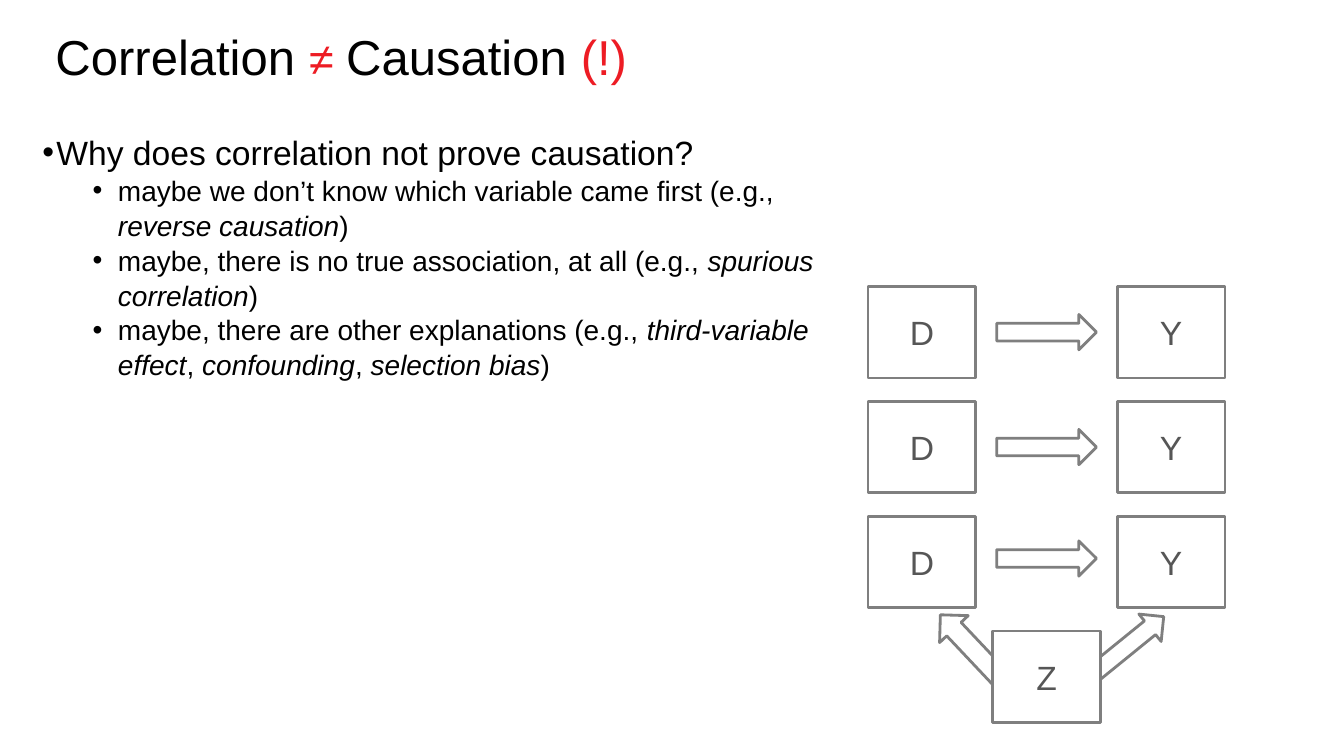
from lxml.etree import SubElement
from pptx import Presentation
from pptx.dml.color import RGBColor
from pptx.enum.shapes import MSO_SHAPE as Shape
from pptx.enum.text import MSO_ANCHOR as Anchor, MSO_AUTO_SIZE as AutoSize, PP_ALIGN as Align
from pptx.oxml.ns import qn
from pptx.util import Inches, Pt

COLORS = {"ink": "000000", "accent": "ED1C24", "outline": "7F7F7F", "label": "565656", "paper": "FFFFFF"}


class CausationSlide:
    """Style and drawing methods for a slide with a grid of variables."""

    font = "Arial"
    insets = (0.13, 0.07, 0.13, 0.07)
    first_center = (9.145, 3.295)
    pitch = (1.235, 1.14)
    box_size = (1.07, 0.91)

    def __init__(self, deck):
        self.slide = deck.slides.add_slide(deck.slide_layouts[5])

    def color(self, name):
        return RGBColor.from_string(COLORS[name])

    def style(self, font, size, color):
        font.name, font.size = self.font, Pt(size)
        font.color.rgb = self.color(color)

    def frame(self, shape, insets, anchor):
        frame = shape.text_frame
        frame.word_wrap, frame.auto_size = True, AutoSize.NONE
        frame.vertical_anchor = anchor
        frame.margin_left, frame.margin_top, frame.margin_right, frame.margin_bottom = map(Inches, insets)
        return frame

    def title(self, parts, area):
        heading = self.slide.shapes.title
        heading.left, heading.top, heading.width, heading.height = map(Inches, area)
        paragraph = self.frame(heading, self.insets, Anchor.MIDDLE).paragraphs[0]
        paragraph.alignment, paragraph.line_spacing = Align.LEFT, 0.9
        for words, size, color in parts:
            run = paragraph.add_run()
            run.text = words
            self.style(run.font, size, color)

    def bullets(self, items, area):
        box = self.slide.shapes.add_textbox(*map(Inches, area))
        frame = self.frame(box, (0, 0, 0, 0), Anchor.TOP)
        for index, (level, parts) in enumerate(items):
            paragraph = frame.add_paragraph() if index else frame.paragraphs[0]
            paragraph.level, paragraph.line_spacing = level, 1.04
            margin, hanging, size = ((0.14, 0.14, 24), (0.75, 0.25, 20))[level]
            properties = paragraph._p.get_or_add_pPr()
            properties.set("marL", str(Inches(margin)))
            properties.set("indent", str(-Inches(hanging)))
            SubElement(properties, qn("a:buFont"), typeface=self.font)
            SubElement(properties, qn("a:buChar"), char="•")
            self.style(paragraph.font, size, "ink")
            for position, words in enumerate(parts):
                run = paragraph.add_run()
                run.text = words
                if position % 2:
                    run.font.italic = True

    def outlined(self, kind, column, row, size):
        left, top = (start + step * place - length / 2 for start, step, place, length
                     in zip(self.first_center, self.pitch, (column, row), size))
        shape = self.slide.shapes.add_shape(kind, *map(Inches, (left, top, *size)))
        shape.shadow.inherit = False
        shape.fill.background()
        shape.line.color.rgb = self.color("outline")
        shape.line.width = Pt(2)
        return shape

    def variable(self, letter, column, row):
        box = self.outlined(Shape.RECTANGLE, column, row, self.box_size)
        paragraph = self.frame(box, self.insets, Anchor.MIDDLE).paragraphs[0]
        paragraph.text, paragraph.alignment = letter, Align.CENTER
        self.style(paragraph.font, 24, "label")
        return box

    def arrow(self, column, row, size=(0.99, 0.35), rotation=0):
        self.outlined(Shape.RIGHT_ARROW, column, row, size).rotation = rotation


def main():
    deck = Presentation()
    deck.slide_width, deck.slide_height = Inches(13.33), Inches(7.5)
    page = CausationSlide(deck)
    page.title([
        ("Correlation ", 35, "ink"),
        ("≠ ", 32, "accent"),
        ("Causation ", 35, "ink"),
        ("(!)", 35, "accent"),
    ], (0.42, 0.18, 12.5, 0.82))
    page.bullets([
        (0, ["Why does correlation not prove causation?"]),
        (1, ["maybe we don’t know which variable came first (e.g., ", "reverse causation", ")"]),
        (1, ["maybe, there is no true association, at all (e.g., ", "spurious correlation", ")"]),
        (1, ["maybe, there are other explanations (e.g., ", "third-variable effect", ", ",
             "confounding", ", ", "selection bias", ")"]),
    ], (0.42, 1.29, 8.03, 5.34))

    for row, arrow_row in enumerate((0, 1, 1.97)):
        page.variable("D", 0, row)
        page.arrow(1, arrow_row)
        page.variable("Y", 2, row)

    page.arrow(0.4, 2.75, size=(0.91, 0.39), rotation=226.7)
    page.arrow(1.63, 2.75, rotation=320.9)
    confounder = page.variable("Z", 1, 3)
    confounder.fill.solid()
    confounder.fill.fore_color.rgb = page.color("paper")
    deck.save("out.pptx")


if __name__ == "__main__":
    main()
